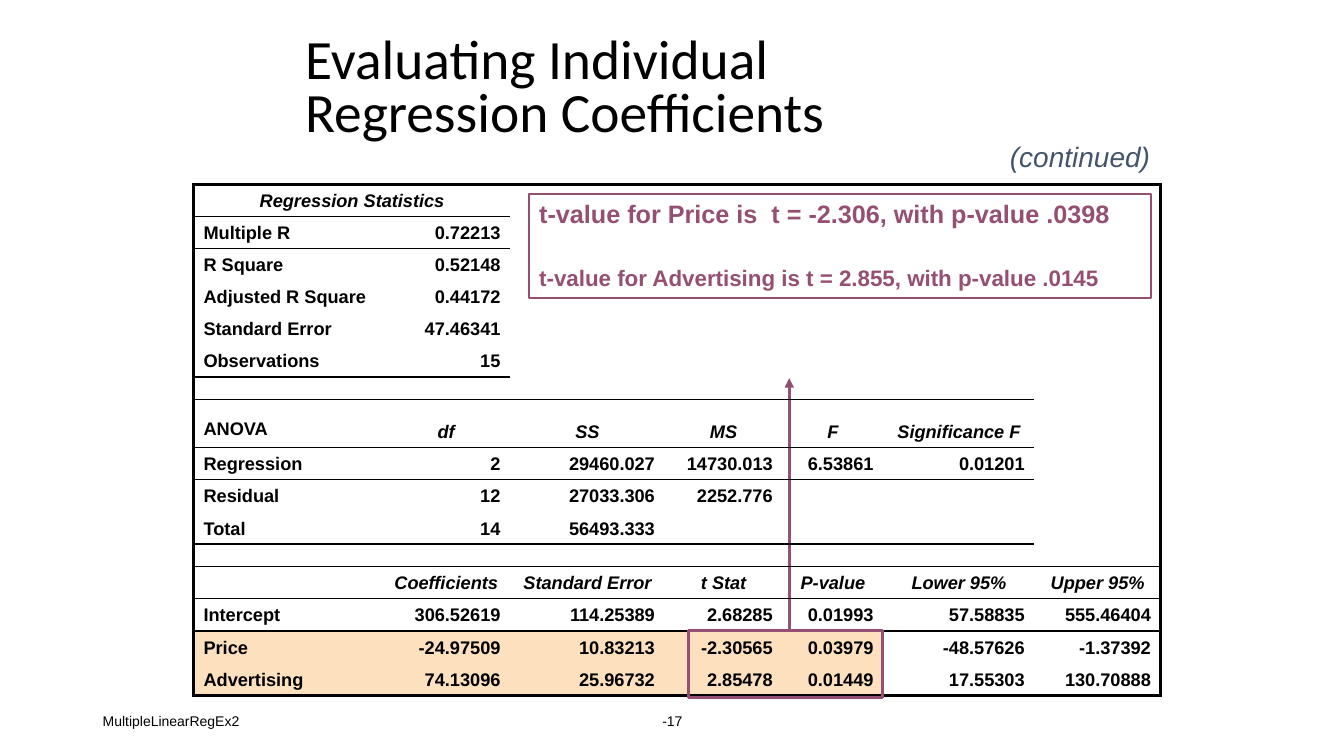
from dataclasses import dataclass

from lxml.etree import SubElement
from pptx import Presentation
from pptx.dml.color import RGBColor
from pptx.enum.shapes import MSO_CONNECTOR, MSO_SHAPE
from pptx.enum.text import MSO_ANCHOR, PP_ALIGN
from pptx.oxml.ns import qn
from pptx.util import Cm, Pt

COLORS = {"ink": "000000", "plum": "954F72", "slate": "44546A", "peach": "FDE0BD"}


@dataclass
class Frame:
    left: float
    top: float
    width: float
    height: float

    def lengths(self) -> list:
        return [Cm(value) for value in (self.left, self.top, self.width, self.height)]


@dataclass
class Label:
    text: str
    frame: Frame
    size: float
    color: str = "ink"
    font: str = "Arial"
    italic: bool = False
    align: PP_ALIGN = PP_ALIGN.LEFT
    anchor: MSO_ANCHOR = MSO_ANCHOR.MIDDLE
    line_spacing: float = 1.0
    wrap: bool = True


TITLE = Label("Evaluating Individual\vRegression Coefficients", Frame(7.44, 0.89, 19.66, 2.74),
              39.6, font="Calibri", line_spacing=0.8)
LABELS = [
    Label("MultipleLinearRegEx2", Frame(2.34, 17.65, 7.62, 1.02), 10),
    Label("-17", Frame(11.23, 17.65, 11.43, 1.02), 10, align=PP_ALIGN.CENTER),
    Label("(continued)", Frame(25.2, 3.4, 4.04, 1.09), 20, color="slate", italic=True,
          anchor=MSO_ANCHOR.TOP, wrap=False),
    TITLE,
]

RESULTS = [
    ["Regression Statistics"],
    ["Multiple R", "0.72213"],
    ["R Square", "0.52148"],
    ["Adjusted R Square", "0.44172"],
    ["Standard Error", "47.46341"],
    ["Observations", "15"],
    [],
    ["ANOVA", "df", "SS", "MS", "F", "Significance F"],
    ["Regression", "2", "29460.027", "14730.013", "6.53861", "0.01201"],
    ["Residual", "12", "27033.306", "2252.776"],
    ["Total", "14", "56493.333"],
    [],
    ["", "Coefficients", "Standard Error", "t Stat", "P-value", "Lower 95%", "Upper 95%"],
    ["Intercept", "306.52619", "114.25389", "2.68285", "0.01993", "57.58835", "555.46404"],
    ["Price", "-24.97509", "10.83213", "-2.30565", "0.03979", "-48.57626", "-1.37392"],
    ["Advertising", "74.13096", "25.96732", "2.85478", "0.01449", "17.55303", "130.70888"],
]
RESULTS_FRAME = Frame(4.88, 4.64, 24.37, 12.88)
COLUMN_WIDTHS = [4.75, 3.23, 3.89, 2.97, 2.54, 3.81, 3.18]
ROW_HEIGHT, GAP_HEIGHT, ANOVA_HEIGHT = 0.81, 0.57, 1.21
ANOVA_ROW = 7
HEADER_ROWS = {0, ANOVA_ROW, 12}
RULED_COLUMNS = {0: 2, 5: 2, 6: 6, 7: 6, 10: 6, 11: 7, 12: 7}  # row above the rule: columns crossed
SHADED_ROWS, SHADED_COLUMNS = {14, 15}, 5
FRAME_WIDTH, RULE_WIDTH = 2.25, 1

CALLOUT = Frame(13.34, 4.88, 15.67, 2.64)
MARKED_VALUES = Frame(17.36, 15.88, 4.88, 1.7)


def color(name: str) -> RGBColor:
    return RGBColor.from_string(COLORS[name])


def write(para, text: str, *, size: float, ink: str = "ink", font: str = "Arial", bold: bool = False,
          italic: bool = False, align: PP_ALIGN = PP_ALIGN.LEFT, line_spacing: float = 1.0) -> None:
    para.alignment = align
    para.line_spacing = line_spacing
    for index, line in enumerate(text.split("\v")):
        if index:
            para.add_line_break()
        span = para.add_run()
        span.text = line
        span.font.name, span.font.size = font, Pt(size)
        span.font.bold, span.font.italic = bold, italic
        span.font.color.rgb = color(ink)


def add_label(page, label: Label) -> None:
    box = page.shapes.add_textbox(*label.frame.lengths())
    box.text_frame.word_wrap = label.wrap
    box.text_frame.vertical_anchor = label.anchor
    write(box.text_frame.paragraphs[0], label.text, size=label.size, ink=label.color, font=label.font,
          italic=label.italic, align=label.align, line_spacing=label.line_spacing)


def add_outline(page, frame: Frame, width: float):
    box = page.shapes.add_shape(MSO_SHAPE.RECTANGLE, *frame.lengths())
    box.shadow.inherit = False
    box.fill.background()
    box.line.color.rgb = color("plum")
    box.line.width = Pt(width)
    return box


def add_callout(page) -> None:
    box = add_outline(page, CALLOUT, 1.5)
    body = box.text_frame
    body.word_wrap = True
    body.vertical_anchor = MSO_ANCHOR.TOP
    price = body.paragraphs[0]
    write(price, "t-value for Price is  t = -2.306, with p-value .0398", size=18, ink="plum", bold=True)
    price.space_after = Pt(25)
    write(body.add_paragraph(), "t-value for Advertising is t = 2.855, with p-value .0145",
          size=16, ink="plum", bold=True)


def add_arrow(page) -> None:
    arrow = page.shapes.add_connector(MSO_CONNECTOR.STRAIGHT, Cm(19.89), Cm(16.51), Cm(19.89), Cm(9.53))
    arrow.line.color.rgb = color("plum")
    arrow.line.width = Pt(2.25)
    SubElement(arrow.line._get_or_add_ln(), qn("a:tailEnd"), type="triangle")
    SubElement(arrow._element.spPr, qn("a:effectLst"))


def border_widths(row: int, column: int) -> dict[str, float]:
    """Widths in points of the cell's visible sides, in schema order."""
    last_row, last_column = len(RESULTS) - 1, len(COLUMN_WIDTHS) - 1
    sides = {
        "L": FRAME_WIDTH if column == 0 else 0,
        "R": FRAME_WIDTH if column == last_column else 0,
        "T": FRAME_WIDTH if row == 0 else RULE_WIDTH * (column < RULED_COLUMNS.get(row - 1, 0)),
        "B": FRAME_WIDTH if row == last_row else RULE_WIDTH * (column < RULED_COLUMNS.get(row, 0)),
    }
    return {side: width for side, width in sides.items() if width}


def draw_borders(cell, widths: dict[str, float]) -> None:
    properties = cell._tc.get_or_add_tcPr()
    for side, width in widths.items():
        line = SubElement(properties, qn(f"a:ln{side}"), w=str(Pt(width)))
        SubElement(SubElement(line, qn("a:solidFill")), qn("a:srgbClr"), val=COLORS["ink"])


def fill_cell(cell, row: int, column: int, text: str) -> None:
    draw_borders(cell, border_widths(row, column))
    if row in SHADED_ROWS and column < SHADED_COLUMNS:
        cell.fill.solid()
        cell.fill.fore_color.rgb = color("peach")
    else:
        cell.fill.background()
    cell.vertical_anchor = MSO_ANCHOR.BOTTOM
    cell.margin_left = cell.margin_right = Cm(0.25)
    cell.margin_top = cell.margin_bottom = Cm(0.13)
    para = cell.text_frame.paragraphs[0]
    if not text:
        para._p.get_or_add_endParaRPr().set("sz", "600")
        return
    if text == "ANOVA":
        cell.margin_bottom = Cm(0.2)
    header = row in HEADER_ROWS and text != "ANOVA"
    align = PP_ALIGN.CENTER if header else PP_ALIGN.RIGHT if column else PP_ALIGN.LEFT
    write(para, text, size=13, bold=True, italic=header, align=align)


def add_results(page) -> None:
    table = page.shapes.add_table(len(RESULTS), len(COLUMN_WIDTHS), *RESULTS_FRAME.lengths()).table
    table.first_row = table.horz_banding = False
    table._tbl.tblPr.find(qn("a:tableStyleId")).text = "{2D5ABB26-0587-4C30-8999-92F81FD0307C}"
    for column, width in zip(table.columns, COLUMN_WIDTHS):
        column.width = Cm(width)
    table.cell(0, 0).merge(table.cell(0, 1))
    for row, values in enumerate(RESULTS):
        height = ANOVA_HEIGHT if row == ANOVA_ROW else ROW_HEIGHT if values else GAP_HEIGHT
        table.rows[row].height = Cm(height)
        for column in range(len(COLUMN_WIDTHS)):
            fill_cell(table.cell(row, column), row, column, values[column] if column < len(values) else "")


def main() -> None:
    deck = Presentation()
    deck.slide_width, deck.slide_height = Cm(33.87), Cm(19.05)
    page = deck.slides.add_slide(deck.slide_layouts[6])
    add_arrow(page)
    add_results(page)
    add_callout(page)
    add_outline(page, MARKED_VALUES, 2.25)
    for label in LABELS:
        add_label(page, label)
    deck.save("out.pptx")


if __name__ == "__main__":
    main()
